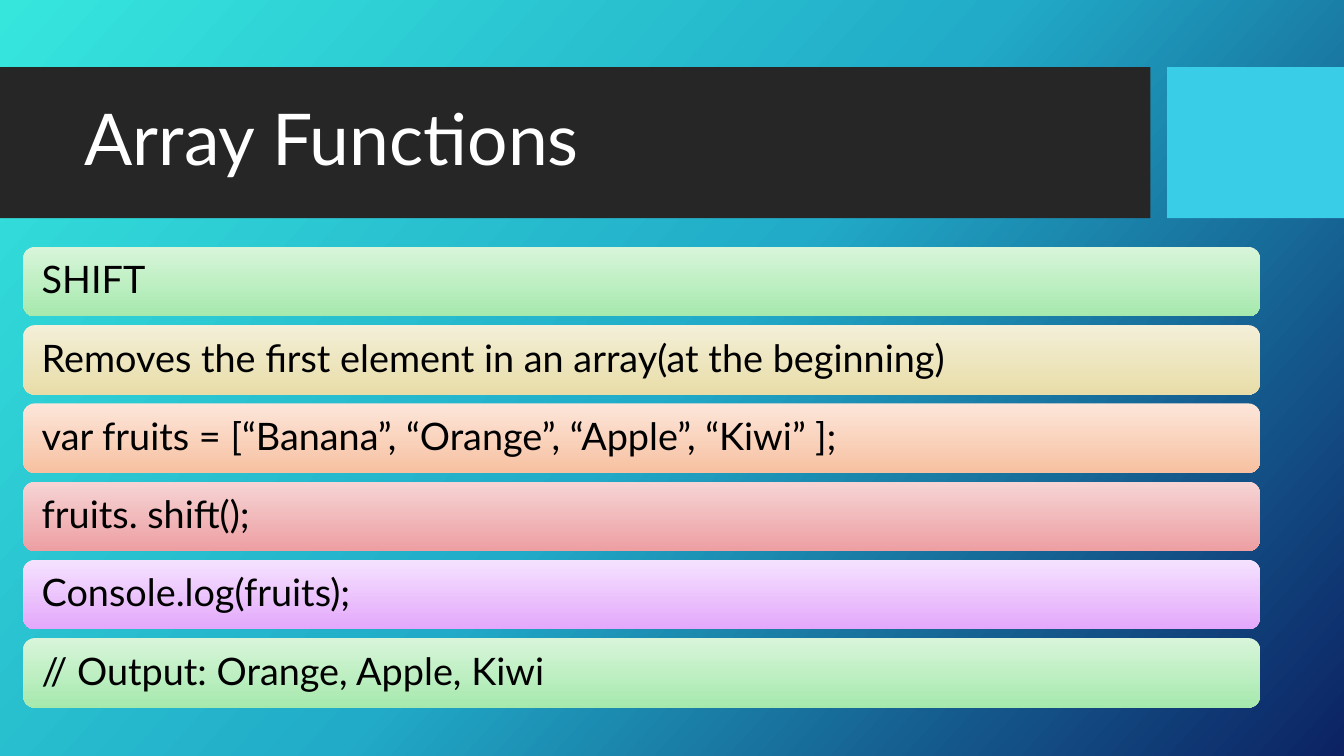
import copy

import pptx
import pptx.dml.color
import pptx.enum.shapes
import pptx.enum.text
import pptx.util

Pt = pptx.util.Pt
RGBColor = pptx.dml.color.RGBColor
Shapes = pptx.enum.shapes.MSO_SHAPE

WHITE = RGBColor(0xFF, 0xFF, 0xFF)
BLACK = RGBColor(0x00, 0x00, 0x00)
CHARCOAL = RGBColor(0x26, 0x26, 0x26)
CYAN = RGBColor(0x39, 0xCD, 0xE7)
BACKDROP = (RGBColor(0x36, 0xE6, 0xDD), RGBColor(0x21, 0xAB, 0xC8), RGBColor(0x0C, 0x22, 0x63))
GREEN = (RGBColor(0xD8, 0xF5, 0xDA), RGBColor(0xA6, 0xE9, 0xAD))
SAND = (RGBColor(0xF4, 0xEF, 0xD8), RGBColor(0xE8, 0xDD, 0xA8))
PEACH = (RGBColor(0xFC, 0xE6, 0xDA), RGBColor(0xF7, 0xC1, 0xA1))
ROSE = (RGBColor(0xF6, 0xD4, 0xD5), RGBColor(0xED, 0x9F, 0xA2))
VIOLET = (RGBColor(0xF5, 0xE2, 0xFE), RGBColor(0xE3, 0xA8, 0xFB))

STEPS = [
    ("SHIFT", GREEN),
    ("Removes the first element in an array(at the beginning)", SAND),
    ("var fruits = [“Banana”, “Orange”, “Apple”, “Kiwi” ];", PEACH),
    ("fruits. shift();", ROSE),
    ("Console.log(fruits);", VIOLET),
    ("// Output: Orange, Apple, Kiwi", GREEN),
]
STEP_TOP, STEP_PITCH, STEP_HEIGHT = 176.4, 55.88, 49.6


def write_text(frame, text, *, size, color, font, inset_x=7.2, inset_y=3.6):
    frame.word_wrap = True
    frame.auto_size = pptx.enum.text.MSO_AUTO_SIZE.NONE
    frame.vertical_anchor = pptx.enum.text.MSO_ANCHOR.MIDDLE
    frame.margin_left = frame.margin_right = Pt(inset_x)
    frame.margin_top = frame.margin_bottom = Pt(inset_y)
    paragraph = frame.paragraphs[0]
    paragraph.alignment = pptx.enum.text.PP_ALIGN.LEFT
    paragraph.line_spacing = 0.9
    run = paragraph.add_run()
    run.text = text
    run.font.name = font
    run.font.size = Pt(size)
    run.font.color.rgb = color


def fill_gradient(fill, colors, clockwise_angle):
    """Spread the colours evenly along a linear gradient."""
    fill.gradient()
    fill.gradient_angle = 360 - clockwise_angle
    stop_list = fill._fill._gradFill.gsLst
    for _ in colors[2:]:
        stop_list.append(copy.deepcopy(stop_list[0]))
    for index, (stop, color) in enumerate(zip(fill.gradient_stops, colors)):
        stop.position = index / (len(colors) - 1)
        stop.color.rgb = color


class SlideBuilder:
    """Holds the font and the current slide."""

    def __init__(self, slide, font):
        self.slide = slide
        self.font = font

    def background(self, colors, angle):
        fill_gradient(self.slide.background.fill, colors, angle)

    def block(self, left, top, width, height, kind=Shapes.RECTANGLE):
        block = self.slide.shapes.add_shape(kind, Pt(left), Pt(top), Pt(width), Pt(height))
        block.shadow.inherit = False
        block.line.fill.background()
        return block

    def plain_block(self, left, top, width, height, color):
        block = self.block(left, top, width, height)
        block.fill.solid()
        block.fill.fore_color.rgb = color

    def step(self, top, text, colors):
        bar = self.block(16.6, top, 883.4, STEP_HEIGHT, Shapes.ROUNDED_RECTANGLE)
        fill_gradient(bar.fill, colors, 90)
        write_text(bar.text_frame, text, size=27, color=BLACK, font=self.font,
                   inset_x=10.8, inset_y=0)

    def title(self, text):
        """Place the title in front of everything drawn so far."""
        title = self.slide.shapes.title
        title.left, title.top, title.width, title.height = Pt(53.3), Pt(59), Pt(756.7), Pt(85)
        write_text(title.text_frame, text, size=51, color=WHITE, font=self.font)
        self.slide.shapes._spTree.append(title._element)


def main():
    deck = pptx.Presentation()
    deck.slide_width, deck.slide_height = Pt(960), Pt(540)
    builder = SlideBuilder(deck.slides.add_slide(deck.slide_layouts[5]), "Lato")

    builder.background(BACKDROP, 42)
    builder.plain_block(0, 48, 821.8, 107.8, CHARCOAL)
    builder.plain_block(833.6, 48, 126.4, 107.8, CYAN)
    builder.title("Array Functions")
    for row, (text, colors) in enumerate(STEPS):
        builder.step(STEP_TOP + row * STEP_PITCH, text, colors)

    deck.save("out.pptx")


if __name__ == "__main__":
    main()
